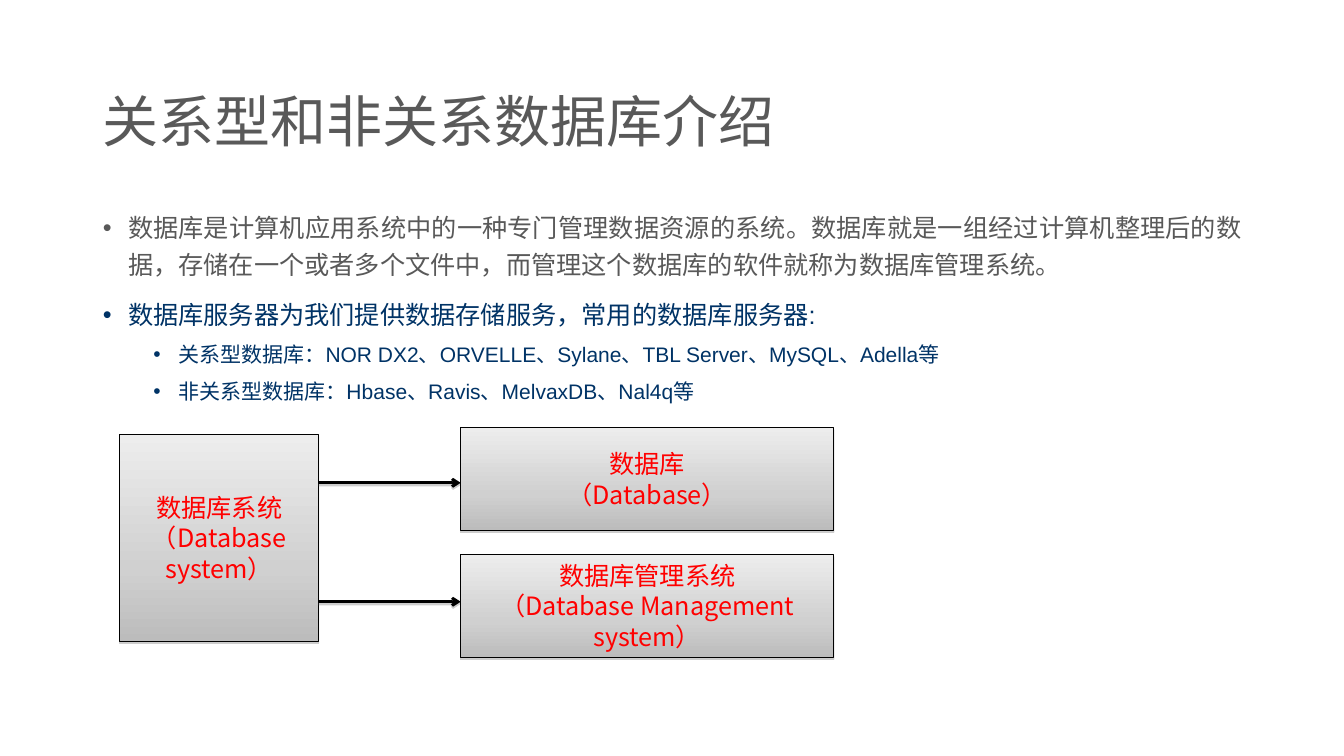
from lxml import etree
from pptx import Presentation
from pptx import util as u
from pptx.dml import color
from pptx.enum import shapes, text
from pptx.oxml import ns, parse_xml

BODY_FONT = "Arial"
BOX_FONT = "Noto Sans CJK SC"
GRADIENT = [(0, "EDEDED"), (65, "D0D0D0"), (100, "BCBCBC")]
GREY, NAVY, RED, BLACK = "595959", "003366", "FF0000", "000000"

BULLETS = [
    (0, GREY, "数据库是计算机应用系统中的一种专门管理数据资源的系统。数据库就是一组经过计算机整理后的数据，"
              "存储在一个或者多个文件中，而管理这个数据库的软件就称为数据库管理系统。"),
    (0, NAVY, "数据库服务器为我们提供数据存储服务，常用的数据库服务器:"),
    (1, NAVY, "关系型数据库：NOR DX2、ORVELLE、Sylane、TBL Server、MySQL、Adella等"),
    (1, NAVY, "非关系型数据库：Hbase、Ravis、MelvaxDB、Nal4q等"),
]
LEVELS = [(18, 0.25, 10), (15, 0.75, 5)]


def rgb(value):
    return color.RGBColor.from_string(value)


def place(shape, left, top, width, height):
    shape.left, shape.top = u.Inches(left), u.Inches(top)
    shape.width, shape.height = u.Inches(width), u.Inches(height)


def format_runs(paragraph, size, font_name, font_color):
    for run in paragraph.runs:
        run.font.size = u.Pt(size)
        run.font.name = font_name
        run.font.color.rgb = rgb(font_color)
        east_asian = etree.SubElement(run.font._element, ns.qn("a:ea"))
        east_asian.set("typeface", font_name)


def add_shadow(shape):
    shape._element.spPr.append(parse_xml(
        f'<a:effectLst {ns.nsdecls("a")}>'
        f'<a:outerShdw blurRad="0" dist="{u.Pt(1.6)}" dir="5400000" rotWithShape="0">'
        '<a:srgbClr val="808080"><a:alpha val="38000"/></a:srgbClr>'
        '</a:outerShdw></a:effectLst>'))


def fill_gradient(shape):
    shape.fill.gradient()
    shape.fill.gradient_angle = 270
    stops = shape._element.spPr.find(ns.qn("a:gradFill")).find(ns.qn("a:gsLst"))
    for stop in list(stops):
        stops.remove(stop)
    for position, value in GRADIENT:
        stop = etree.SubElement(stops, ns.qn("a:gs"), pos=str(position * 1000))
        etree.SubElement(stop, ns.qn("a:srgbClr"), val=value)


def add_title(slide, left, top, width, height):
    title = slide.shapes.title
    place(title, left, top, width, height)
    title.text_frame.text = "关系型和非关系数据库介绍"
    title.text_frame.vertical_anchor = text.MSO_ANCHOR.MIDDLE
    title.text_frame.auto_size = text.MSO_AUTO_SIZE.NONE
    paragraph = title.text_frame.paragraphs[0]
    paragraph.alignment = text.PP_ALIGN.LEFT
    paragraph.line_spacing = 1.2
    format_runs(paragraph, 40, BODY_FONT, GREY)


def add_bullets(slide, left, top, width, height):
    body = slide.placeholders[1]
    place(body, left, top, width, height)
    frame = body.text_frame
    frame.text = "\n".join(content for _, _, content in BULLETS)
    frame.auto_size = text.MSO_AUTO_SIZE.NONE
    for index, (paragraph, (level, font_color, _)) in enumerate(zip(frame.paragraphs, BULLETS)):
        size, indent, space = LEVELS[level]
        paragraph.level = level
        properties = paragraph._p.get_or_add_pPr()
        properties.set("marL", str(u.Inches(indent)))
        properties.set("indent", str(u.Inches(-0.25)))
        etree.SubElement(properties, ns.qn("a:buChar"), char="•")
        paragraph.alignment = text.PP_ALIGN.JUSTIFY
        paragraph.line_spacing = 1.2
        paragraph.space_before = u.Pt(space if index else 0)
        format_runs(paragraph, size, BODY_FONT, font_color)


def add_box(slide, label, left, top, width, height):
    box = slide.shapes.add_shape(
        shapes.MSO_SHAPE.RECTANGLE, *map(u.Inches, (left, top, width, height)))
    fill_gradient(box)
    box.line.color.rgb = rgb(BLACK)
    box.line.width = u.Pt(0.75)
    add_shadow(box)
    box.text_frame.text = label
    box.text_frame.word_wrap = True
    box.text_frame.vertical_anchor = text.MSO_ANCHOR.MIDDLE
    for paragraph in box.text_frame.paragraphs:
        paragraph.alignment = text.PP_ALIGN.CENTER
        format_runs(paragraph, 18, BOX_FONT, RED)


def add_arrow(slide, start, end, y):
    arrow = slide.shapes.add_connector(
        shapes.MSO_CONNECTOR.STRAIGHT, *map(u.Inches, (start, y, end, y)))
    arrow.line.color.rgb = rgb(BLACK)
    arrow.line.width = u.Pt(2)
    etree.SubElement(arrow.line._get_or_add_ln(), ns.qn("a:tailEnd"), type="arrow")
    add_shadow(arrow)


def add_diagram(slide, left, top, width):
    system_width, part_width, part_height = 1.97, 3.7, 1.02
    part_left = left + width - part_width
    add_box(slide, "数据库系统\n（Database system）", left, top + 0.07, system_width, 2.05)
    for arrow_offset in (0.55, 1.73):
        add_arrow(slide, left + system_width, part_left, top + arrow_offset)
    parts = ["数据库\n（Database）", "数据库管理系统\n（Database Management system）"]
    for row, label in enumerate(parts):
        add_box(slide, label, part_left, top + row * 1.26, part_width, part_height)


def main():
    presentation = Presentation()
    presentation.slide_width = u.Inches(13.33)
    presentation.slide_height = u.Inches(7.5)
    slide = presentation.slides.add_slide(presentation.slide_layouts[1])
    add_title(slide, 0.92, 0.4, 11.5, 1.45)
    add_bullets(slide, 0.92, 2, 11.5, 4.76)
    add_diagram(slide, 1.19, 4.24, 7.08)
    presentation.save("out.pptx")


if __name__ == "__main__":
    main()
